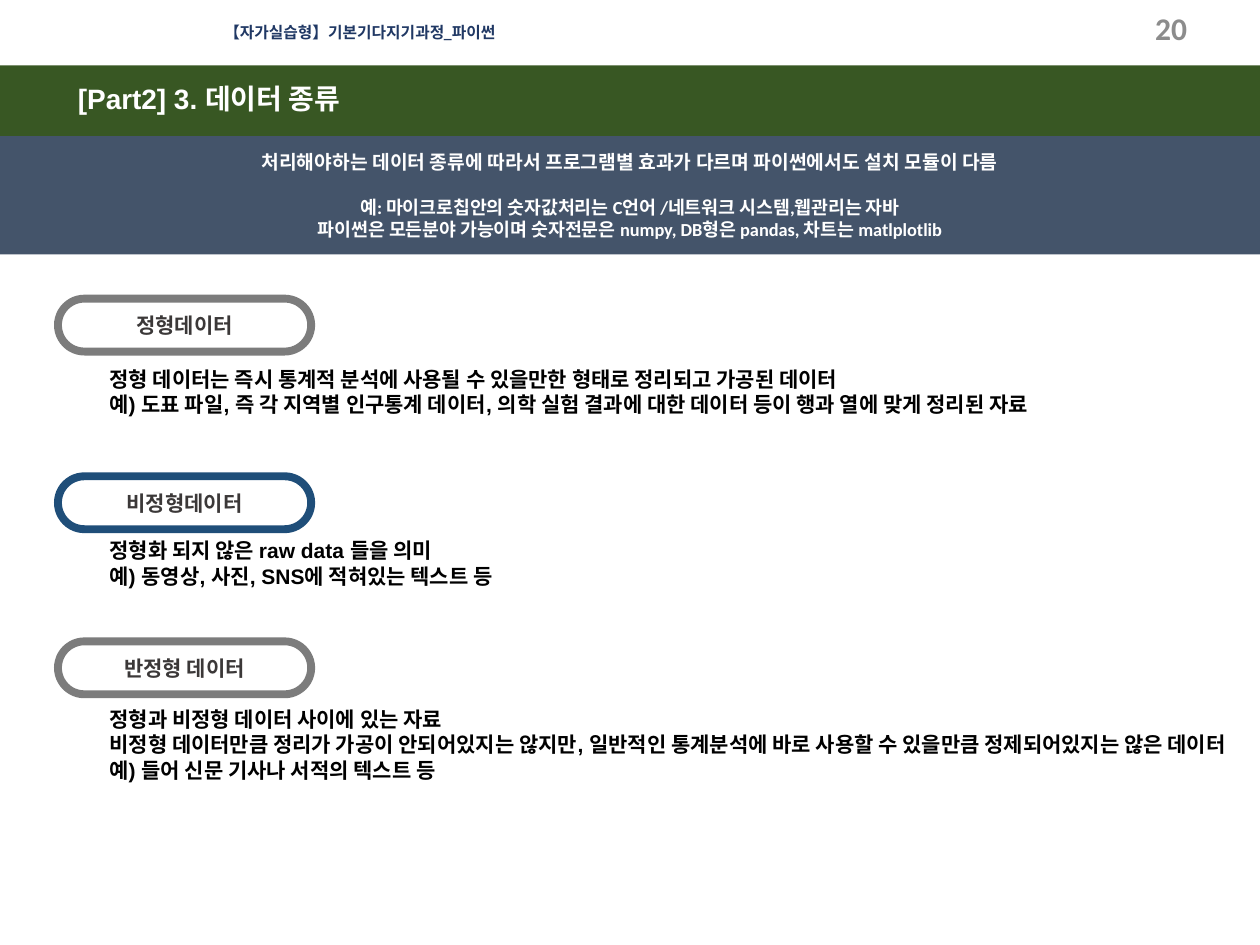
from dataclasses import dataclass
from typing import NamedTuple

from pptx import Presentation
from pptx.dml.color import RGBColor
from pptx.enum.shapes import MSO_SHAPE
from pptx.enum.text import MSO_ANCHOR, PP_ALIGN
from pptx.util import Inches, Pt

RECT, PILL = MSO_SHAPE.RECTANGLE, MSO_SHAPE.ROUNDED_RECTANGLE
LEFT, CENTER, RIGHT = PP_ALIGN.LEFT, PP_ALIGN.CENTER, PP_ALIGN.RIGHT
TOP, MIDDLE = MSO_ANCHOR.TOP, MSO_ANCHOR.MIDDLE

COLS, ROWS = 100, 75
CELL = Inches(0.1)


@dataclass(frozen=True)
class Theme:
    head: str = "Arial"
    body: str = "Calibri"
    white: str = "FFFFFF"
    black: str = "000000"
    green: str = "385723"
    slate: str = "44546A"
    navy: str = "203864"
    blue: str = "1F4E79"
    gray: str = "7C7C7C"
    pale: str = "8C8C8C"
    dark: str = "3B3838"
    tiny: float = 9
    note: float = 10.5
    lead: float = 11
    text: float = 12
    title: float = 16
    page: float = 18
    edge: float = 4.5
    gap: float = 13


THEME = Theme()


class Box(NamedTuple):
    """An area in grid columns and rows."""
    x: float
    y: float
    w: float
    h: float

    def sub(self, x, y, w, h):
        """Return an area placed from this one's top left corner."""
        return Box(self.x + x, self.y + y, w, h)

    def emu(self):
        return [round(side * CELL) for side in self]


def write(shape, lines, font, size, color, align=LEFT, anchor=TOP, wrap=True):
    frame = shape.text_frame
    frame.word_wrap = wrap
    frame.vertical_anchor = anchor
    frame.text = "\n".join(lines)
    for para in frame.paragraphs:
        para.alignment = align
        para.font.name = font
        para.font.size = Pt(size)
        para.font.bold = True
        para.font.color.rgb = RGBColor.from_string(color)
    return frame


def add_text(slide, box, lines, *style, **opts):
    return write(slide.shapes.add_textbox(*box.emu()), lines, *style, **opts)


def add_block(slide, kind, box, fill, edge=None):
    shape = slide.shapes.add_shape(kind, *box.emu())
    shape.shadow.inherit = False
    shape.fill.solid()
    shape.fill.fore_color.rgb = RGBColor.from_string(fill)
    if edge:
        shape.line.color.rgb = RGBColor.from_string(edge)
        shape.line.width = Pt(THEME.edge)
    else:
        shape.line.fill.background()
    return shape


def add_header(slide, box, course, page):
    add_text(slide, box.sub(16.8, 1.3, 24.1, 2.5), [course],
             THEME.body, THEME.tiny, THEME.navy, wrap=False)
    add_text(slide, box.sub(72.7, 0.2, 22.5, 4), [page],
             THEME.body, THEME.page, THEME.pale, align=RIGHT, anchor=MIDDLE)


def add_title(slide, box, title):
    add_block(slide, RECT, box, THEME.green)
    add_text(slide, box.sub(5.2, 0.8, 24.3, 3.7), [title],
             THEME.head, THEME.title, THEME.white, wrap=False)


def add_banner(slide, box, lines):
    """Draw the summary band: a lead line, then smaller examples."""
    shape = add_block(slide, RECT, box, THEME.slate)
    frame = write(shape, lines, THEME.body, THEME.note, THEME.white,
                  align=CENTER, anchor=MIDDLE)
    lead = frame.paragraphs[0]
    lead.font.size = Pt(THEME.lead)
    lead.space_after = Pt(THEME.gap)


def add_section(slide, box, label, edge, drop, lines):
    """Draw a labelled pill with its text starting drop rows below its top."""
    pill = add_block(slide, PILL, box.sub(0, 0, 20.1, 4.2), THEME.white, edge)
    pill.adjustments[0] = 0.5
    write(pill, [label], THEME.body, THEME.text, THEME.dark,
          align=CENTER, anchor=MIDDLE)
    add_text(slide, box.sub(3.1, drop, box.w - 3.1, box.h - drop), lines,
             THEME.head, THEME.text, THEME.black)


SUMMARY = [
    "처리해야하는 데이터 종류에 따라서 프로그램별 효과가 다르며 파이썬에서도 설치 모듈이 다름",
    "예: 마이크로칩안의 숫자값처리는 C언어 /네트워크 시스템,웹관리는 자바",
    "파이썬은 모든분야 가능이며 숫자전문은 numpy, DB형은 pandas, 차트는 matlplotlib",
]

# Top row, height, label, edge colour, text drop, text
SECTIONS = [
    (23.7, 9.9, "정형데이터", THEME.gray, 4.9, [
        "정형 데이터는 즉시 통계적 분석에 사용될 수 있을만한 형태로 정리되고 가공된 데이터",
        "예) 도표 파일, 즉 각 지역별 인구통계 데이터, 의학 실험 결과에 대한 데이터 등이 행과 열에 맞게 정리된 자료",
    ]),
    (37.8, 9.4, "비정형데이터", THEME.blue, 4.4, [
        "정형화 되지 않은 raw data 들을 의미",
        "예) 동영상, 사진, SNS에 적혀있는 텍스트 등",
    ]),
    (50.9, 13.8, "반정형 데이터", THEME.gray, 4.7, [
        "정형과 비정형 데이터 사이에 있는 자료",
        "비정형 데이터만큼 정리가 가공이 안되어있지는 않지만, 일반적인 통계분석에 바로 사용할 수 있을만큼 정제되어있지는 않은 데이터",
        "예) 들어 신문 기사나 서적의 텍스트 등",
    ]),
]


def main():
    deck = Presentation()
    deck.slide_width, deck.slide_height = COLS * CELL, ROWS * CELL
    slide = deck.slides.add_slide(deck.slide_layouts[6])
    add_header(slide, Box(0, 0, COLS, 5.2),
               "【자가실습형】기본기다지기과정_파이썬", "20")
    add_title(slide, Box(0, 5.2, COLS, 5.6), "[Part2] 3. 데이터 종류")
    add_banner(slide, Box(0, 10.8, COLS, 9.4), SUMMARY)
    for top, height, *parts in SECTIONS:
        add_section(slide, Box(4.6, top, 94.2, height), *parts)
    deck.save("out.pptx")


if __name__ == "__main__":
    main()
